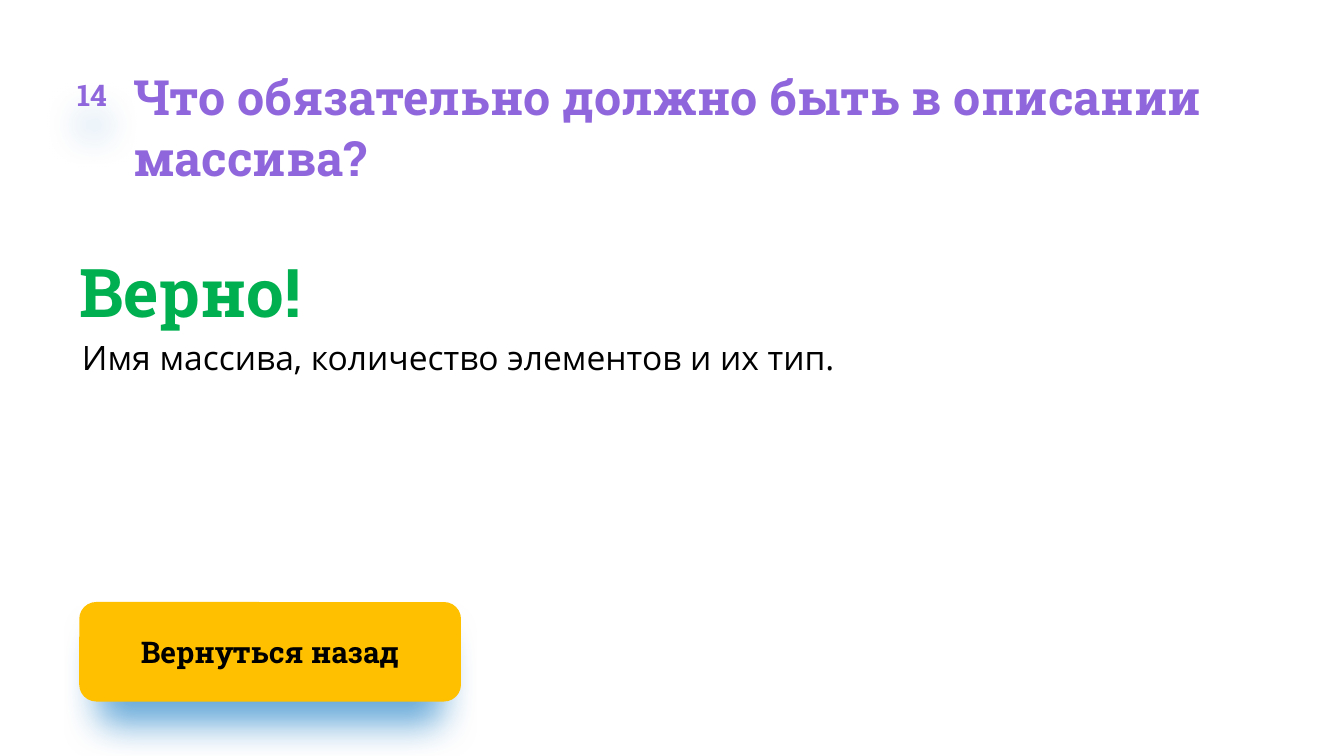
from lxml import etree
from pptx import Presentation
from pptx.dml.color import RGBColor
from pptx.enum.shapes import MSO_SHAPE
from pptx.enum.text import MSO_ANCHOR, PP_ALIGN
from pptx.oxml.ns import qn
from pptx.util import Inches, Pt

ROUNDED = MSO_SHAPE.ROUNDED_RECTANGLE
MIDDLE = MSO_ANCHOR.MIDDLE
TOP = MSO_ANCHOR.TOP
CENTER = PP_ALIGN.CENTER

PURPLE = RGBColor(0x90, 0x66, 0xDC)
GREEN = RGBColor(0x00, 0xB0, 0x50)
AMBER = RGBColor(0xFF, 0xC0, 0x00)
BLUE = RGBColor(0x00, 0x70, 0xC0)
BLACK = RGBColor(0x00, 0x00, 0x00)
WHITE = RGBColor(0xFF, 0xFF, 0xFF)

HEADING = "Roboto Slab"
BODY = "Open Sans"


def write(sp, text, size, color, font=HEADING, bold=True, anchor=TOP, margins=(0, 0, 0, 0)):
    """Put one paragraph into a shape and return the paragraph."""
    tf = sp.text_frame
    tf.word_wrap = True
    tf.vertical_anchor = anchor
    tf.margin_left, tf.margin_top, tf.margin_right, tf.margin_bottom = map(Inches, margins)
    p = tf.paragraphs[0]
    r = p.add_run()
    r.text = text
    r.font.name = font
    r.font.size = Pt(size)
    r.font.bold = bold
    r.font.color.rgb = color
    return p


def add_text(s, box, text, size, color, **options):
    sp = s.shapes.add_textbox(*map(Inches, box))
    return write(sp, text, size, color, **options)


def add_rounded(s, box, radius):
    """Add a rounded shape with a soft, slightly narrower shadow below it."""
    sp = s.shapes.add_shape(ROUNDED, *map(Inches, box))
    sp.adjustments[0] = radius
    sp.fill.background()
    sp.line.fill.background()
    sp.shadow.inherit = False
    effects = sp._element.spPr.find(qn("a:effectLst"))
    shadow = etree.SubElement(effects, qn("a:outerShdw"), blurRad=str(Pt(20)),
                              dist=str(Pt(15)), dir="5400000", sx="90000", sy="90000",
                              algn="ctr", rotWithShape="0")
    color = etree.SubElement(shadow, qn("a:srgbClr"), val=str(BLUE))
    etree.SubElement(color, qn("a:alpha"), val="60000")
    return sp


def add_question(s, box, number, question):
    x, y, w, h = box
    # Number badge
    badge = add_rounded(s, (x, y, 0.59, 0.59), 0.17)
    write(badge, number, 16, PURPLE, anchor=MIDDLE).alignment = CENTER
    # Question
    p = add_text(s, (x + 0.6, y + 0.06, w - 0.6, h - 0.06), question, 26, PURPLE)
    p.line_spacing = 1.06


def add_answer(s, box, verdict, answer):
    x, y, w, h = box
    # Verdict
    p = add_text(s, (x + 0.32, y, 2.8, 0.61), verdict, 36, GREEN)
    p.line_spacing = 1.06
    # Explanation, first line indented
    p = add_text(s, (x, y + 0.68, w, h - 0.68), answer, 18, BLACK,
                 font=BODY, bold=False, margins=(0.14, 0, 0, 0))
    pPr = p._p.get_or_add_pPr()
    pPr.set("marL", "0")
    pPr.set("indent", str(Inches(0.2)))


def add_button(s, box, label):
    sp = add_rounded(s, box, 0.17)
    sp.fill.solid()
    sp.fill.fore_color.rgb = AMBER
    p = write(sp, label, 16, BLACK, anchor=MIDDLE, margins=(0.39, 0.2, 0.39, 0.2))
    p.alignment = CENTER


def main():
    prs = Presentation()
    # Widescreen, 16:9
    prs.slide_width = Inches(10)
    prs.slide_height = prs.slide_width * 9 // 16
    s = prs.slides.add_slide(prs.slide_layouts[6])
    s.background.fill.solid()
    s.background.fill.fore_color.rgb = WHITE

    add_button(s, (0.59, 4.48, 2.84, 0.74), "Вернуться назад")
    add_answer(s, (0.27, 1.83, 6.76, 0.98), "Верно!",
               "Имя массива, количество элементов и их тип.")
    add_question(s, (0.39, 0.41, 9.47, 0.96), "14",
                 "Что обязательно должно быть в описании массива?")
    prs.save("out.pptx")


if __name__ == "__main__":
    main()
